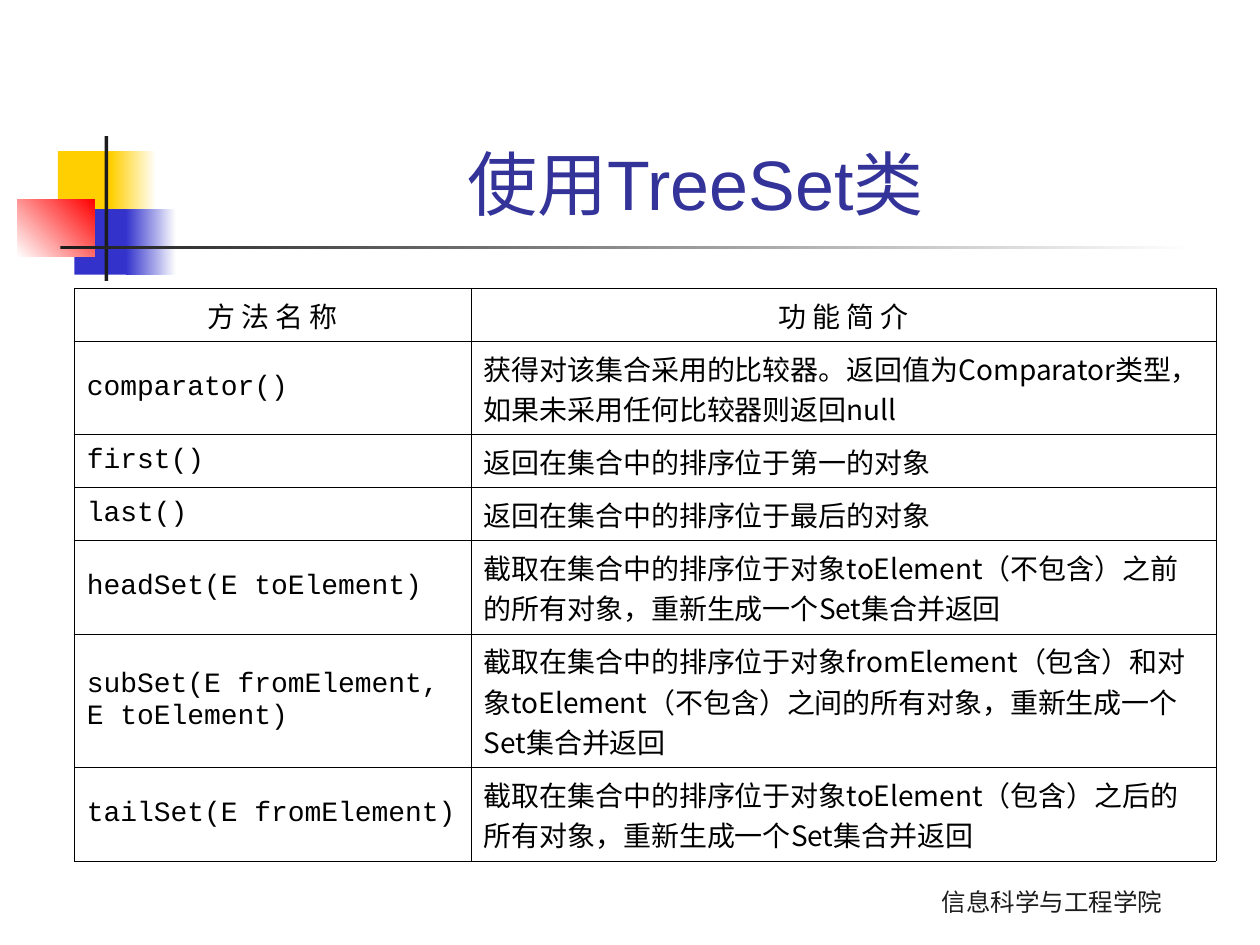
from lxml import etree
from pptx import Presentation
from pptx.dml.color import RGBColor
from pptx.enum.shapes import MSO_SHAPE as Shape
from pptx.enum.text import MSO_ANCHOR as Anchor, MSO_AUTO_SIZE as AutoSize, PP_ALIGN as Align
from pptx.oxml.ns import qn
from pptx.util import Inches, Pt

CJK, MONO = "Noto Sans CJK SC", "Courier New"
BLACK, WHITE, INK = "000000", "FFFFFF", "1C1C1C"
YELLOW, BLUE, RED = "FFCF01", "3333CC", "FF0000"

TITLE = "使用TreeSet类"
FOOTER = "信息科学与工程学院"
HEADINGS = ("方 法 名 称", "功 能 简 介")
METHODS = [
    ("comparator()", "获得对该集合采用的比较器。返回值为Comparator类型，如果未采用任何比较器则返回null"),
    ("first()", "返回在集合中的排序位于第一的对象"),
    ("last()", "返回在集合中的排序位于最后的对象"),
    ("headSet(E toElement)", "截取在集合中的排序位于对象toElement（不包含）之前的所有对象，重新生成一个Set集合并返回"),
    ("subSet(E fromElement, E toElement)",
     "截取在集合中的排序位于对象fromElement（包含）和对象toElement（不包含）之间的所有对象，重新生成一个Set集合并返回"),
    ("tailSet(E fromElement)", "截取在集合中的排序位于对象toElement（包含）之后的所有对象，重新生成一个Set集合并返回"),
]
COLUMN_WIDTHS = (3.15, 5.91)
ROW_HEIGHTS = (0.37, 0.63, 0.37, 0.37, 0.64, 0.9, 0.63)

# left, top, width, height, colours from start to end, gradient angle
ORNAMENT = [
    (0.46, 1.2, 0.48, 0.52, (YELLOW,), 0),
    (0.88, 1.2, 0.36, 0.52, (YELLOW, WHITE), 0),
    (0.59, 1.66, 0.46, 0.52, (BLUE,), 0),
    (1, 1.66, 0.4, 0.52, (BLUE, WHITE), 0),
    (0.14, 1.58, 0.61, 0.46, (WHITE, RED), 45),
    (0.83, 1.08, 0.03, 1.15, (INK,), 0),
    (0.48, 1.95, 9, 0.03, (INK, WHITE), 0),
]


def rgb(hex_color):
    return RGBColor.from_string(hex_color)


def add_ornament(slide, left, top, width, height, colors, angle):
    block = slide.shapes.add_shape(
        Shape.RECTANGLE, Inches(left), Inches(top), Inches(width), Inches(height))
    block.shadow.inherit = False
    block.line.fill.background()
    if len(colors) == 1:
        block.fill.solid()
        block.fill.fore_color.rgb = rgb(colors[0])
        return
    block.fill.gradient()
    block.fill.gradient_angle = angle
    for stop, color in zip(block.fill.gradient_stops, colors):
        stop.color.rgb = rgb(color)


def write(frame, text, size, font, color, align, east_asian=CJK):
    paragraph = frame.paragraphs[0]
    paragraph.alignment = align
    run = paragraph.add_run()
    run.text = text
    run.font.size = Pt(size)
    run.font.name = font
    run.font.color.rgb = rgb(color)
    latin = run.font._element.find(qn("a:latin"))
    ea = etree.Element(qn("a:ea"), typeface=east_asian)
    latin.addnext(ea)


def add_borders(cell):
    properties = cell._tc.get_or_add_tcPr()
    for side in ("lnL", "lnR", "lnT", "lnB"):
        line = etree.SubElement(properties, qn(f"a:{side}"), w=str(Pt(0.45)))
        fill = etree.SubElement(line, qn("a:solidFill"))
        etree.SubElement(fill, qn("a:srgbClr"), val=BLACK)


def add_method_table(slide):
    rows = [HEADINGS, *METHODS]
    table = slide.shapes.add_table(
        len(rows), len(HEADINGS), Inches(0.59), Inches(2.29),
        Inches(sum(COLUMN_WIDTHS)), Inches(sum(ROW_HEIGHTS))).table
    table.first_row = table.horz_banding = False
    for column, width in zip(table.columns, COLUMN_WIDTHS):
        column.width = Inches(width)
    for r, (texts, height) in enumerate(zip(rows, ROW_HEIGHTS)):
        table.rows[r].height = Inches(height)
        for c, text in enumerate(texts):
            cell = table.cell(r, c)
            cell.vertical_anchor = Anchor.MIDDLE
            add_borders(cell)
            cell.fill.background()
            font = MONO if r and c == 0 else CJK
            write(cell.text_frame, text, 16, font, BLACK, Align.LEFT if r else Align.CENTER)


def main():
    deck = Presentation()
    deck.slide_width, deck.slide_height = Inches(10), Inches(7.5)
    slide = deck.slides.add_slide(deck.slide_layouts[5])
    for block in ORNAMENT:
        add_ornament(slide, *block)

    title = slide.shapes.title
    title.left, title.top, title.width, title.height = map(Inches, (1.26, 0.23, 8.52, 1.6))
    title.text_frame.auto_size = AutoSize.NONE
    title.text_frame.vertical_anchor = Anchor.BOTTOM
    write(title.text_frame, TITLE, 40, "Arial", "333399", Align.CENTER)

    add_method_table(slide)

    footer = slide.shapes.add_textbox(*map(Inches, (7.13, 6.98, 2.44, 0.34))).text_frame
    footer.word_wrap = True
    footer.vertical_anchor = Anchor.BOTTOM
    write(footer, FOOTER, 14, "Roboto", INK, Align.CENTER)
    deck.save("out.pptx")


if __name__ == "__main__":
    main()
